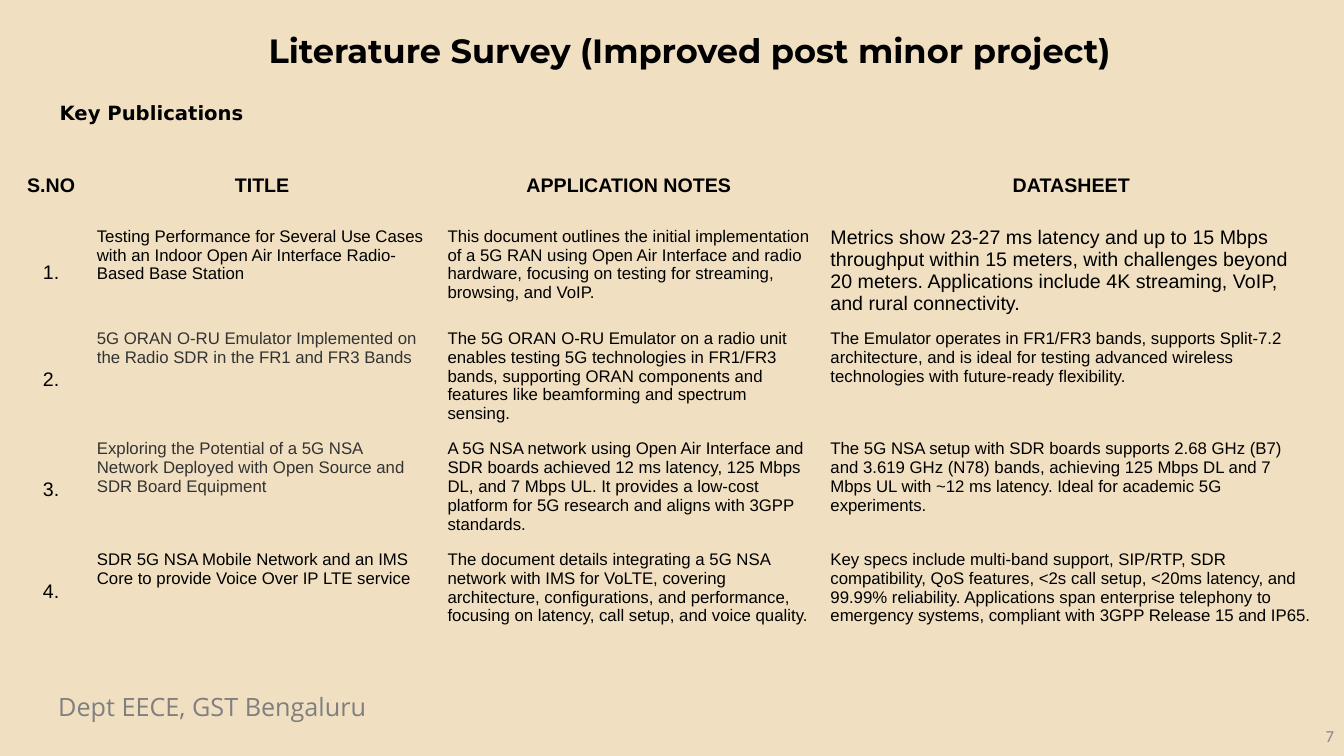
from dataclasses import dataclass

from pptx import Presentation
from pptx.dml.color import RGBColor
from pptx.enum.text import MSO_ANCHOR, MSO_AUTO_SIZE, PP_ALIGN
from pptx.oxml.ns import qn
from pptx.util import Pt


@dataclass(frozen=True)
class Theme:
    back: str = "F0E0C1"
    ink: str = "000000"
    soft: str = "333333"
    foot: str = "7F7F7F"
    page: str = "888888"
    title: int = 24
    dept: int = 18
    head: int = 14
    body: int = 12
    plain: str = "{2D5ABB26-0587-4C30-8999-92F81FD0307C}"  # no style, no grid


def write(frame, text, font="Arial", size=12, color="000000", bold=False,
          align=PP_ALIGN.LEFT):
    para = frame.paragraphs[0]
    para.alignment = align
    run = para.add_run()
    run.text = text
    run.font.name = font
    run.font.size = Pt(size)
    run.font.bold = bold
    run.font.color.rgb = RGBColor.from_string(color)


class Deck:
    def __init__(self, theme):
        self.theme = theme
        self.file = Presentation()
        self.file.slide_width, self.file.slide_height = Pt(960), Pt(540)
        self.slide = None

    def start(self):
        self.slide = self.file.slides.add_slide(self.file.slide_layouts[5])
        fill = self.slide.background.fill
        fill.solid()
        fill.fore_color.rgb = RGBColor.from_string(self.theme.back)

    def place(self, shape, box, text, anchor=MSO_ANCHOR.TOP, **style):
        shape.left, shape.top, shape.width, shape.height = map(Pt, box)
        frame = shape.text_frame
        frame.word_wrap = True
        frame.auto_size = MSO_AUTO_SIZE.NONE
        frame.vertical_anchor = anchor
        write(frame, text, **style)

    def title(self, box, text, **style):
        self.place(self.slide.shapes.title, box, text, **style)

    def label(self, box, text, **style):
        shape = self.slide.shapes.add_textbox(*map(Pt, box))
        self.place(shape, box, text, **style)

    def table(self, left, top, cols, rows, heads, data):
        theme = self.theme
        shape = self.slide.shapes.add_table(
            len(rows), len(cols), Pt(left), Pt(top), Pt(sum(cols)), Pt(sum(rows)))
        grid = shape.table
        grid.first_row = grid.horz_banding = False
        next(shape.element.iter(qn("a:tableStyleId"))).text = theme.plain
        for col, width in zip(grid.columns, cols):
            col.width = Pt(width)
        for row, height in zip(grid.rows, rows):
            row.height = Pt(height)

        # Header row
        for col, text in enumerate(heads):
            self.cell(grid.cell(0, col), text, mid=True, size=theme.head, bold=True)

        # Numbered publications
        for row, (texts, styles) in enumerate(data, 1):
            self.cell(grid.cell(row, 0), f"{row}.", mid=True, size=theme.head)
            for col, text in enumerate(texts, 1):
                self.cell(grid.cell(row, col), text, **styles.get(col, {}))

    def cell(self, cell, text, mid=False, **style):
        cell.fill.background()
        cell.vertical_anchor = MSO_ANCHOR.MIDDLE if mid else MSO_ANCHOR.TOP
        align = PP_ALIGN.CENTER if mid else PP_ALIGN.LEFT
        write(cell.text_frame, text, align=align,
              **{"size": self.theme.body, "color": self.theme.ink, **style})


THEME = Theme()
HEADS = ["S.NO", "TITLE", "APPLICATION NOTES", "DATASHEET"]
SOFT = {1: {"color": THEME.soft}}
PAPERS = [
    (["Testing Performance for Several Use Cases with an Indoor Open Air Interface "
      "Radio-Based Base Station",
      "This document outlines the initial implementation of a 5G RAN using Open Air "
      "Interface and radio hardware, focusing on testing for streaming, browsing, "
      "and VoIP.",
      "Metrics show 23-27 ms latency and up to 15 Mbps throughput within 15 meters, "
      "with challenges beyond 20 meters. Applications include 4K streaming, VoIP, "
      "and rural connectivity."],
     {3: {"size": THEME.head}}),
    (["5G ORAN O-RU Emulator Implemented on the Radio SDR in the FR1 and FR3 Bands",
      "The 5G ORAN O-RU Emulator on a radio unit enables testing 5G technologies in "
      "FR1/FR3 bands, supporting ORAN components and features like beamforming and "
      "spectrum sensing.",
      "The Emulator operates in FR1/FR3 bands, supports Split-7.2 architecture, and "
      "is ideal for testing advanced wireless technologies with future-ready "
      "flexibility."],
     SOFT),
    (["Exploring the Potential of a 5G NSA Network Deployed with Open Source and "
      "SDR Board Equipment",
      "A 5G NSA network using Open Air Interface and SDR boards achieved 12 ms "
      "latency, 125 Mbps DL, and 7 Mbps UL. It provides a low-cost platform for 5G "
      "research and aligns with 3GPP standards.",
      "The 5G NSA setup with SDR boards supports 2.68 GHz (B7) and 3.619 GHz (N78) "
      "bands, achieving 125 Mbps DL and 7 Mbps UL with ~12 ms latency. Ideal for "
      "academic 5G experiments."],
     SOFT),
    (["SDR 5G NSA Mobile Network and an IMS Core to provide Voice Over IP LTE service",
      "The document details integrating a 5G NSA network with IMS for VoLTE, covering "
      "architecture, configurations, and performance, focusing on latency, call "
      "setup, and voice quality.",
      "Key specs include multi-band support, SIP/RTP, SDR compatibility, QoS "
      "features, <2s call setup, <20ms latency, and 99.99% reliability. Applications "
      "span enterprise telephony to emergency systems, compliant with 3GPP Release "
      "15 and IP65."],
     {}),
]


def main():
    deck = Deck(THEME)
    deck.start()

    # Footer and page number
    deck.label((34.5, 490.5, 377.5, 29), "Dept EECE, GST Bengaluru",
               font="Open Sans", size=THEME.dept, color=THEME.foot)
    deck.label((744, 511, 216, 29), "7", anchor=MSO_ANCHOR.MIDDLE, font="Calibri",
               size=THEME.body, color=THEME.page, align=PP_ALIGN.RIGHT)

    # Headings
    deck.title((78.5, 18, 828, 39), "Literature Survey (Improved post minor project)",
               font="Montserrat", size=THEME.title, color=THEME.ink, bold=True,
               align=PP_ALIGN.CENTER)
    deck.label((35.5, 68.5, 871, 392.5), "Key Publications", font="DejaVu Sans",
               size=THEME.head, color=THEME.ink, bold=True)

    # Survey table
    deck.table(11, 107.5, [51, 250.5, 273.5, 358.5], [51, 73, 79, 79, 66],
               HEADS, PAPERS)

    deck.file.save("out.pptx")


if __name__ == "__main__":
    main()
